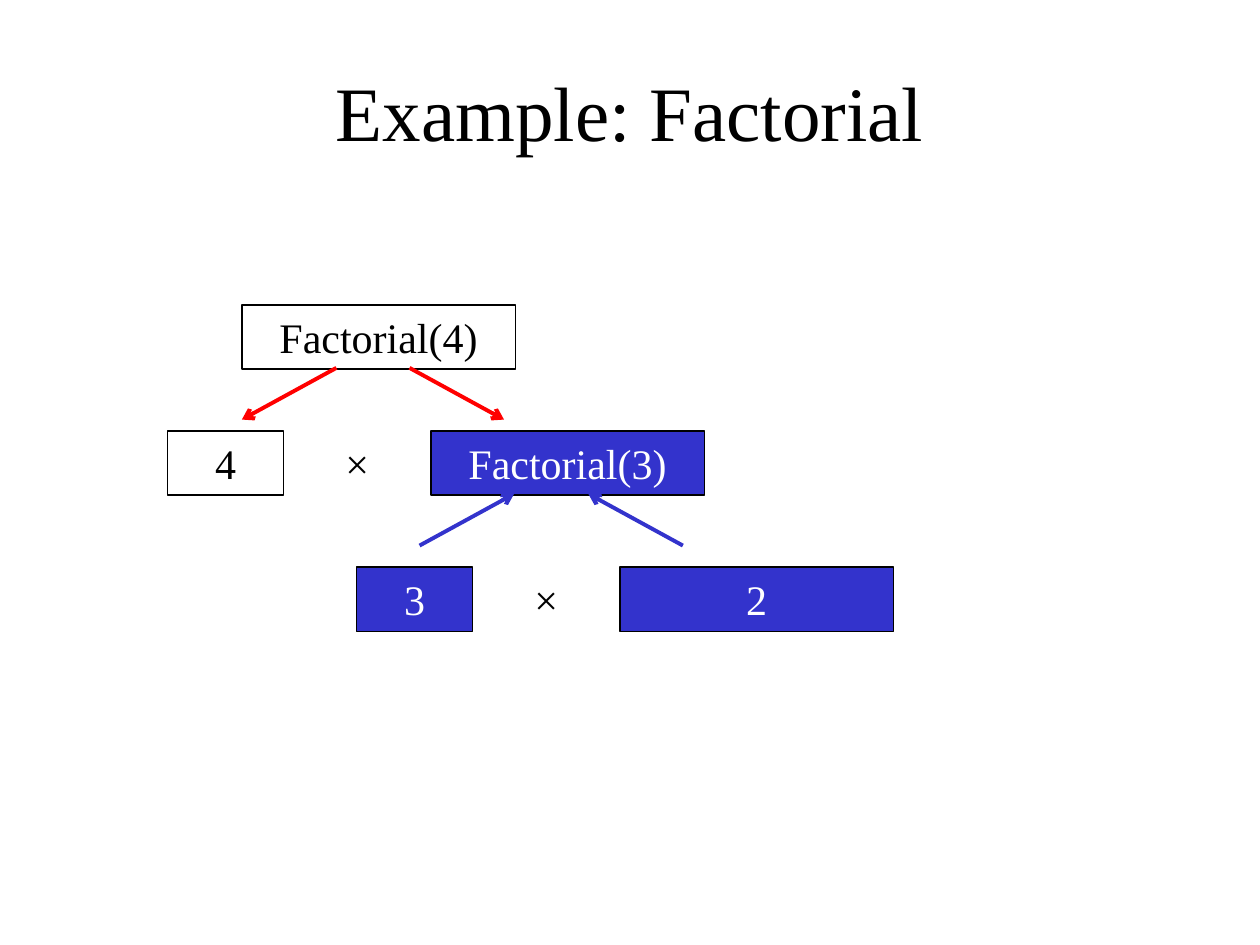
from lxml import etree
from pptx import Presentation
from pptx.dml.color import RGBColor
from pptx.enum.shapes import MSO_CONNECTOR, MSO_SHAPE
from pptx.enum.text import MSO_ANCHOR, PP_ALIGN
from pptx.oxml.ns import qn
from pptx.util import Inches, Pt

STRAIGHT = MSO_CONNECTOR.STRAIGHT
RECT = MSO_SHAPE.RECTANGLE
MIDDLE = MSO_ANCHOR.MIDDLE
CENTER = PP_ALIGN.CENTER

BLACK, WHITE, BLUE, RED = "000000", "FFFFFF", "3333CC", "FF0000"
WIDE, NARROW, BOX_H = 2.17, 0.92, 0.51


def rgb(value):
    return RGBColor.from_string(value)


def set_text(sp, text, size, color):
    tf = sp.text_frame
    tf.word_wrap = True
    tf.vertical_anchor = MIDDLE
    p = tf.paragraphs[0]
    p.text = text
    p.alignment = CENTER
    p.font.name = "Times New Roman"
    p.font.size = Pt(size)
    p.font.color.rgb = rgb(color)


prs = Presentation()
prs.slide_width, prs.slide_height = Inches(10), Inches(7.5)
s = prs.slides.add_slide(prs.slide_layouts[5])

# Title
title = s.shapes.title
title.left, title.top = Inches(0.75), Inches(0.25)
title.width, title.height = Inches(8.5), Inches(1.25)
set_text(title, "Example: Factorial", 44, BLACK)

# Call and value boxes: text, left, top, width, fill
boxes = [
    ("Factorial(4)", 1.92, 2.42, WIDE, None),
    ("4", 1.33, 3.42, NARROW, None),
    ("Factorial(3)", 3.42, 3.42, WIDE, BLUE),
    ("3", 2.83, 4.5, NARROW, BLUE),
    ("2", 4.92, 4.5, WIDE, BLUE),
]
for text, left, top, width, fill in boxes:
    sp = s.shapes.add_shape(RECT, Inches(left), Inches(top), Inches(width), Inches(BOX_H))
    sp.shadow.inherit = False
    sp.line.color.rgb = rgb(BLACK)
    sp.line.width = Pt(0.75)
    if fill:
        sp.fill.solid()
        sp.fill.fore_color.rgb = rgb(fill)
    else:
        sp.fill.background()
    set_text(sp, text, 24, WHITE if fill else BLACK)

# Multiplication signs
for left, top in [(2.42, 3.42), (3.92, 4.5)]:
    sp = s.shapes.add_textbox(Inches(left), Inches(top), Inches(0.83), Inches(0.5))
    set_text(sp, "×", 24, BLACK)

# Arrows: red ones go down to the calls, blue ones return to the caller
arrows = [
    (2.67, 2.92, 1.92, 3.33, RED),
    (3.25, 2.92, 4, 3.33, RED),
    (3.33, 4.33, 4.08, 3.92, BLUE),
    (5.42, 4.33, 4.67, 3.92, BLUE),
]
for x1, y1, x2, y2, color in arrows:
    line = s.shapes.add_connector(STRAIGHT, Inches(x1), Inches(y1), Inches(x2), Inches(y2))
    line.line.color.rgb = rgb(color)
    line.line.width = Pt(2.25)
    etree.SubElement(line.line._get_or_add_ln(), qn("a:tailEnd"), type="arrow")
    etree.SubElement(line._element.spPr, qn("a:effectLst"))

prs.save("out.pptx")
